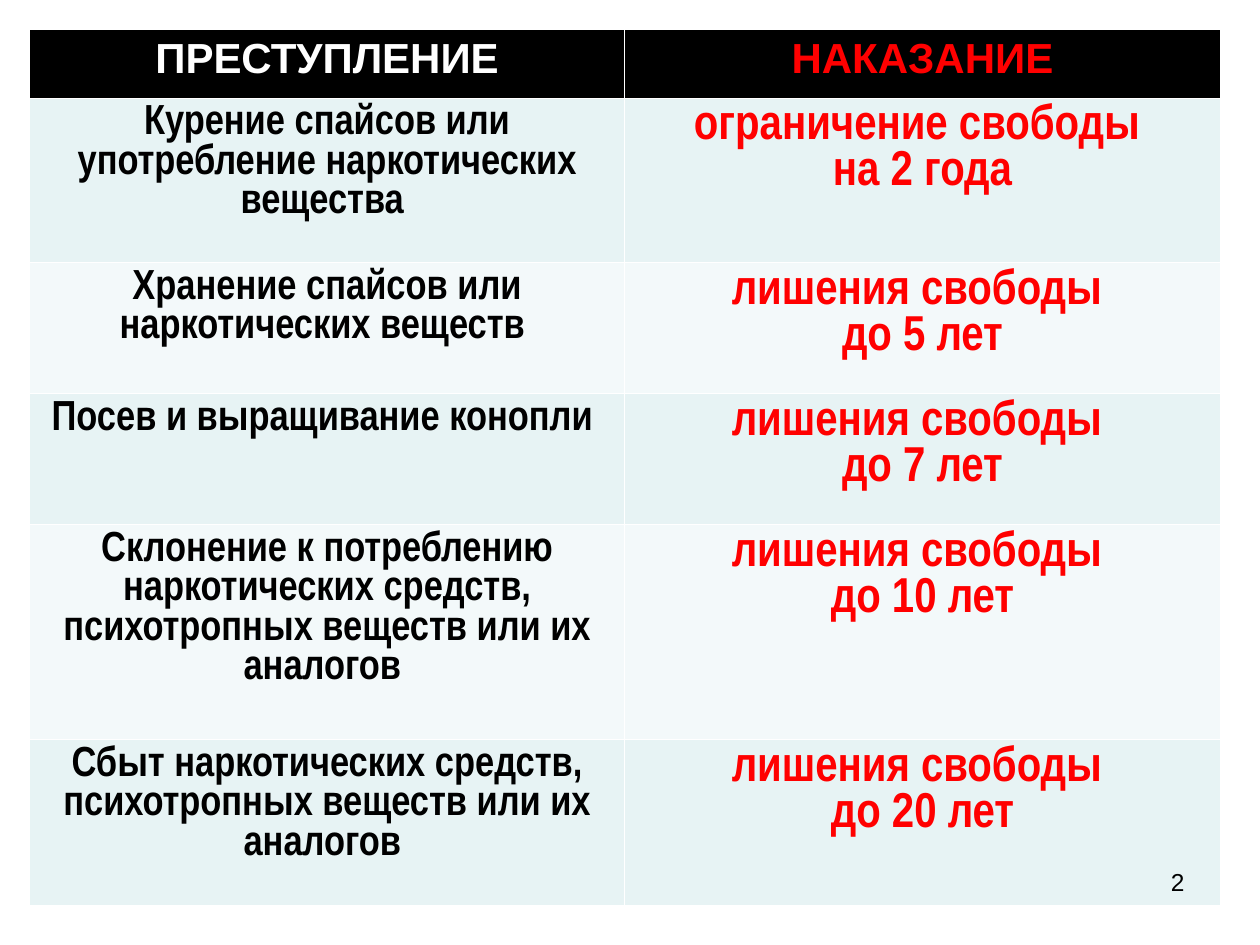
from dataclasses import dataclass

from lxml import etree
from pptx import Presentation
from pptx.dml.color import RGBColor
from pptx.enum import text
from pptx.oxml import ns
from pptx.util import Pt


@dataclass(frozen=True)
class Theme:
    black: str = "000000"
    white: str = "FFFFFF"
    red: str = "FF0000"
    bands: tuple = ("E7F3F4", "F3F9FA")
    wide: str = "Arial"
    narrow: str = "Arial Narrow"
    head: int = 24
    crime: int = 24
    term: int = 28
    page: int = 14
    rule: float = 0.45


THEME = Theme()
HEADS = ("ПРЕСТУПЛЕНИЕ", "НАКАЗАНИЕ")
ROWS = [
    ("Курение спайсов или употребление наркотических вещества ",
     "ограничение свободы \nна 2 года"),
    ("Хранение спайсов или наркотических веществ ",
     "лишения свободы \nдо 5 лет"),
    ("Посев и выращивание конопли ",
     "лишения свободы \nдо 7 лет"),
    ("Склонение к потреблению наркотических средств, "
     "психотропных веществ или их аналогов ",
     "лишения свободы \nдо 10 лет"),
    ("Сбыт наркотических средств, психотропных веществ или их аналогов ",
     "лишения свободы \nдо 20 лет"),
]
HEIGHTS = (39.2, 94, 74.8, 74.8, 122.9, 94.7)
LEFT, TOP, WIDTH = 16.8, 16.8, 680.4


def write(frame, words, size, color, face, align, bold=False):
    frame.text = words
    for para in frame.paragraphs:
        para.alignment = align
        for run in para.runs:
            font = run.font
            font.name, font.size, font.bold = face, Pt(size), bold
            font.color.rgb = RGBColor.from_string(color)


def edge(cell):
    """Draw the thin white rule on all four sides; call before filling."""
    props = cell._tc.get_or_add_tcPr()
    for side in ("a:lnL", "a:lnR", "a:lnT", "a:lnB"):
        line = etree.SubElement(props, ns.qn(side), w=str(Pt(THEME.rule)))
        fill = etree.SubElement(line, ns.qn("a:solidFill"))
        etree.SubElement(fill, ns.qn("a:srgbClr"), val=THEME.white)


def put(cell, words, back, size, color, face):
    edge(cell)
    cell.fill.solid()
    cell.fill.fore_color.rgb = RGBColor.from_string(back)
    write(cell.text_frame, words, size, color, face,
          text.PP_ALIGN.CENTER, bold=True)


def add_grid(slide):
    grid = slide.shapes.add_table(
        len(HEIGHTS), len(HEADS), Pt(LEFT), Pt(TOP),
        Pt(WIDTH), Pt(sum(HEIGHTS))).table
    for col in grid.columns:
        col.width = Pt(WIDTH / len(HEADS))
    for row, high in zip(grid.rows, HEIGHTS):
        row.height = Pt(high)

    for col, (words, color) in enumerate(zip(HEADS, (THEME.white, THEME.red))):
        put(grid.cell(0, col), words, THEME.black,
            THEME.head, color, THEME.wide)
    for row, (crime, term) in enumerate(ROWS, 1):
        back = THEME.bands[(row - 1) % 2]
        put(grid.cell(row, 0), crime, back,
            THEME.crime, THEME.black, THEME.narrow)
        put(grid.cell(row, 1), term, back,
            THEME.term, THEME.red, THEME.narrow)


def add_page(slide, number):
    box = slide.shapes.add_textbox(Pt(516.2), Pt(491.8), Pt(167.8), Pt(37.4))
    box.text_frame.word_wrap = True
    write(box.text_frame, number, THEME.page, THEME.black, THEME.wide,
          text.PP_ALIGN.RIGHT)


def main():
    deck = Presentation()
    deck.slide_width, deck.slide_height = Pt(720), Pt(540)
    slide = deck.slides.add_slide(deck.slide_layouts[6])
    add_grid(slide)
    add_page(slide, "2")
    deck.save("out.pptx")


if __name__ == "__main__":
    main()
